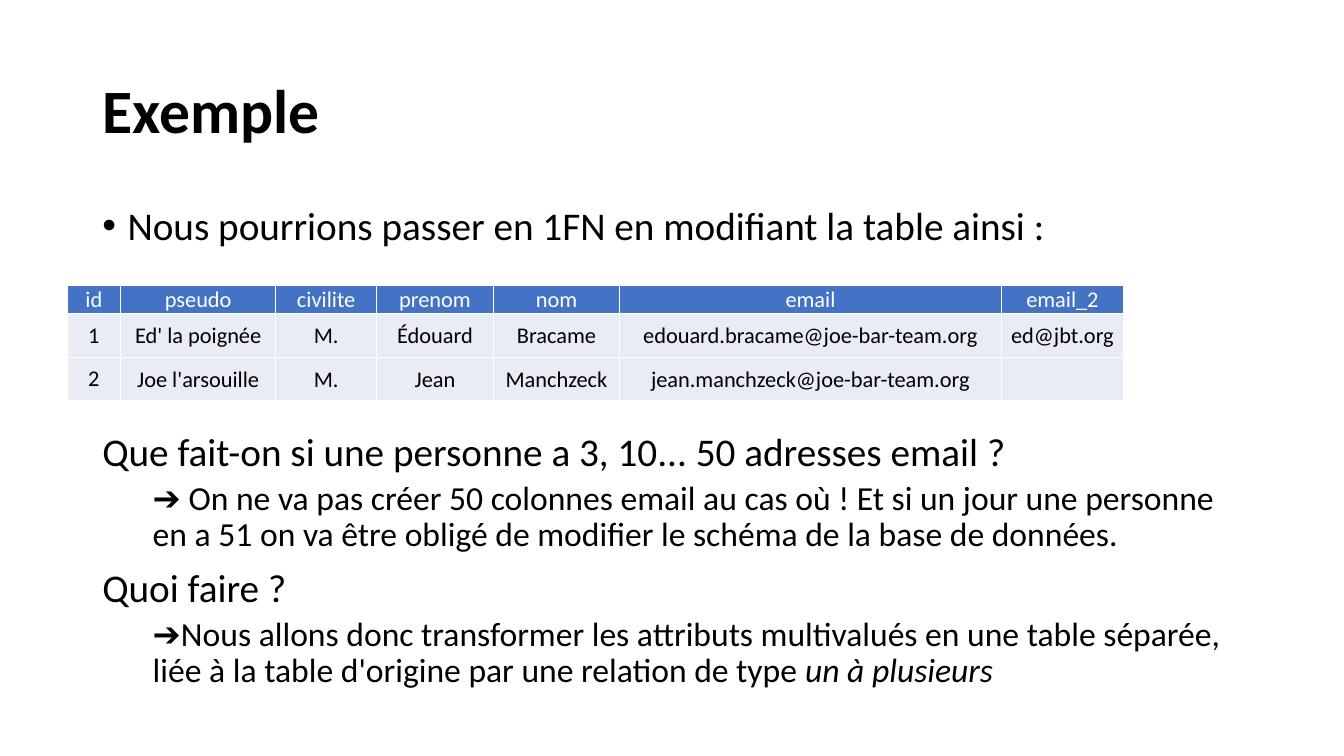
from dataclasses import dataclass

from lxml.etree import SubElement
from pptx import Presentation
from pptx.dml.color import RGBColor
from pptx.enum.text import MSO_ANCHOR, PP_ALIGN
from pptx.oxml import parse_xml
from pptx.oxml.ns import nsdecls, qn
from pptx.util import Emu, Inches, Pt

FONT = "Calibri"
COLORS = {"text": "000000", "header": "4472C4", "band": "E9EBF5", "white": "FFFFFF"}

# Grid of 160 columns by 90 rows
SLIDE_WIDTH, SLIDE_HEIGHT = Inches(13.33), Inches(7.5)
LEFT, CONTENT_WIDTH = 11, 138
INDENT = 3


@dataclass
class Line:
    """A body paragraph; its second text, if any, is in italics."""
    texts: tuple[str, ...]
    level: int = 0
    space_before: float = 10
    bullet: bool = False


BODY = (
    Line(("Nous pourrions passer en 1FN en modifiant la table ainsi :",),
         space_before=0, bullet=True),
    Line(("Que fait-on si une personne a 3, 10... 50 adresses email ?",),
         space_before=131),
    Line(("➔ On ne va pas créer 50 colonnes email au cas où ! Et si un jour une "
          "personne en a 51 on va être obligé de modifier le schéma de la base "
          "de données.",), level=1, space_before=5),
    Line(("Quoi faire ?",)),
    Line(("➔Nous allons donc transformer les attributs multivalués en une table "
          "séparée, liée à la table d'origine par une relation de type ",
          "un à plusieurs"), level=1, space_before=5),
)

COLUMN_WIDTHS = (6.36, 18.48, 12, 13.92, 15, 45.48, 14.52)
ROW_HEIGHTS = (3.36, 5.16, 5.16)
MEMBERS = (
    ("id", "pseudo", "civilite", "prenom", "nom", "email", "email_2"),
    ("1", "Ed' la poignée", "M.", "Édouard", "Bracame",
     "edouard.bracame@joe-bar-team.org", "ed@jbt.org"),
    ("2", "Joe l'arsouille", "M.", "Jean", "Manchzeck",
     "jean.manchzeck@joe-bar-team.org", ""),
)


def columns(count: float) -> Emu:
    return Emu(round(SLIDE_WIDTH * count / 160))


def rows(count: float) -> Emu:
    return Emu(round(SLIDE_HEIGHT * count / 90))


def color(name: str) -> RGBColor:
    return RGBColor.from_string(COLORS[name])


def add_run(paragraph, text: str, size: float, color_name: str = "text",
            bold: bool = False, italic: bool = False) -> None:
    run = paragraph.add_run()
    run.text = text
    run.font.name = FONT
    run.font.size = Pt(size)
    run.font.bold = bold
    run.font.italic = italic
    run.font.color.rgb = color(color_name)


def add_title(slide, text: str) -> None:
    title = slide.shapes.title
    title.left, title.top = columns(LEFT), rows(4.8)
    title.width, title.height = columns(CONTENT_WIDTH), rows(17.4)
    title.text_frame.vertical_anchor = MSO_ANCHOR.MIDDLE
    paragraph = title.text_frame.paragraphs[0]
    paragraph.alignment = PP_ALIGN.LEFT
    paragraph.line_spacing = 0.9
    add_run(paragraph, text, 44, bold=True)


def add_body(slide, lines: tuple[Line, ...]) -> None:
    box = slide.shapes.add_textbox(columns(LEFT), rows(24),
                                   columns(CONTENT_WIDTH), rows(63))
    frame = box.text_frame
    frame.word_wrap = True
    for index, line in enumerate(lines):
        paragraph = frame.add_paragraph() if index else frame.paragraphs[0]
        paragraph.level = line.level
        paragraph.line_spacing = 0.9
        paragraph.space_before = Pt(line.space_before)
        properties = paragraph._p.get_or_add_pPr()
        properties.set("marL", str(columns(INDENT * (2 * line.level + line.bullet))))
        properties.set("indent", str(-columns(INDENT) if line.bullet else 0))
        if line.bullet:
            SubElement(properties, qn("a:buFont"), typeface="Arial")
            SubElement(properties, qn("a:buChar"), char="•")
        for position, text in enumerate(line.texts):
            add_run(paragraph, text, 24 if line.level else 28, italic=position > 0)


def add_borders(cell) -> None:
    properties = cell._tc.get_or_add_tcPr()
    for position, side in enumerate(("lnL", "lnR", "lnT", "lnB")):
        border = parse_xml(
            f'<a:{side} {nsdecls("a")} w="{Pt(1)}"><a:solidFill>'
            f'<a:srgbClr val="{COLORS["white"]}"/></a:solidFill></a:{side}>')
        properties.insert(position, border)


def format_cell(cell, text: str, is_header: bool, is_tall: bool) -> None:
    cell.vertical_anchor = MSO_ANCHOR.MIDDLE
    cell.margin_left = cell.margin_right = Inches(0.01)
    cell.margin_top = Inches(0.08 if is_tall else 0.01)
    cell.margin_bottom = Inches(0.08 if is_tall else 0)
    cell.fill.solid()
    cell.fill.fore_color.rgb = color("header" if is_header else "band")
    add_borders(cell)
    if text:
        paragraph = cell.text_frame.paragraphs[0]
        paragraph.alignment = PP_ALIGN.CENTER
        add_run(paragraph, text, 16, "white" if is_header else "text")


def add_member_table(slide) -> None:
    table = slide.shapes.add_table(
        len(MEMBERS), len(COLUMN_WIDTHS), columns(8), rows(34),
        columns(sum(COLUMN_WIDTHS)), rows(sum(ROW_HEIGHTS))).table
    for column, width in zip(table.columns, COLUMN_WIDTHS):
        column.width = columns(width)
    for row, height in zip(table.rows, ROW_HEIGHTS):
        row.height = rows(height)
    for row_index, member in enumerate(MEMBERS):
        for column_index, text in enumerate(member):
            is_header = row_index == 0
            format_cell(table.cell(row_index, column_index), text, is_header,
                        is_tall=column_index == 0 and not is_header)


def main() -> None:
    presentation = Presentation()
    presentation.slide_width, presentation.slide_height = SLIDE_WIDTH, SLIDE_HEIGHT
    slide = presentation.slides.add_slide(presentation.slide_layouts[5])
    add_title(slide, "Exemple")
    add_body(slide, BODY)
    add_member_table(slide)
    presentation.save("out.pptx")


if __name__ == "__main__":
    main()
